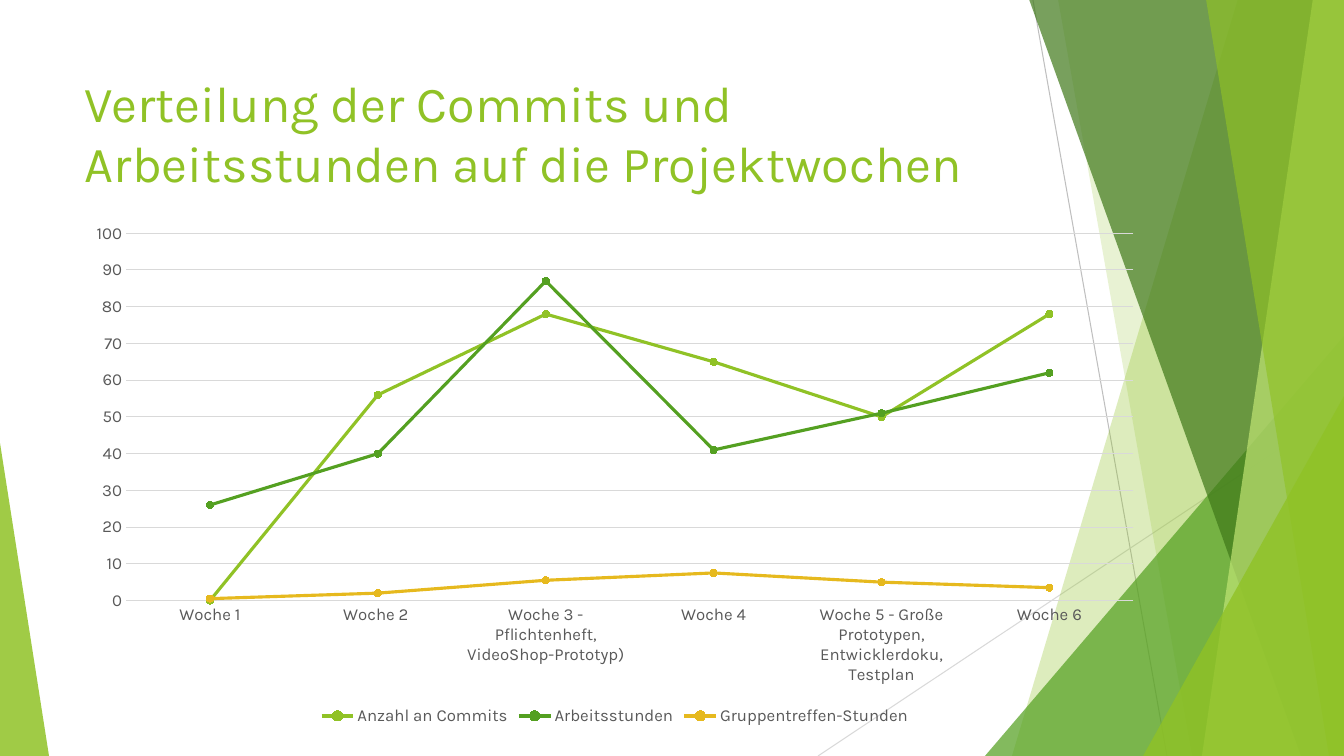
from dataclasses import dataclass

from lxml import etree
from pptx import Presentation
from pptx import util as u
from pptx.chart.data import CategoryChartData
from pptx.dml.color import RGBColor
from pptx.enum import chart as ch, shapes, text
from pptx.oxml.ns import qn

EMU_PER_PX = 914400 / 100.8
WIDTH, HEIGHT = 1344, 756


@dataclass(frozen=True)
class Theme:
    font: str = "Karla"
    lime: str = "90C226"
    green: str = "54A021"
    dark: str = "3F7819"
    pale: str = "C0E474"
    gold: str = "E6B91E"
    label: str = "595959"
    grid: str = "D9D9D9"
    edge: str = "BFBFBF"
    title_size: int = 36
    label_size: int = 12
    hairline: float = 0.75
    series_line: float = 2.25
    marker: int = 5


THEME = Theme()

WEEKS = [
    "Woche 1",
    "Woche 2 ",
    "Woche 3 - Pflichtenheft, VideoShop-Prototyp)",
    "Woche 4",
    "Woche 5 - Große Prototypen, Entwicklerdoku, Testplan",
    "Woche 6",
]
SERIES = [
    ("Anzahl an Commits", (0, 56, 78, 65, 50, 78), THEME.lime),
    ("Arbeitsstunden", (26, 40, 87, 41, 51, 62), THEME.green),
    ("Gruppentreffen-Stunden", (0.5, 2, 5.5, 7.5, 5, 3.5), THEME.gold),
]


def px(n):
    return u.Emu(round(n * EMU_PER_PX))


def rgb(color):
    return RGBColor.from_string(color)


def set_font(font, size, color):
    font.name = THEME.font
    font.size = u.Pt(size)
    font.color.rgb = rgb(color)


def set_line(line, color, width):
    line.color.rgb = rgb(color)
    line.width = u.Pt(width)


def set_fill(sp, color, opacity):
    sp.shadow.inherit = False
    sp.line.fill.background()
    sp.fill.solid()
    sp.fill.fore_color.rgb = rgb(color)
    clr = sp.fill._xPr.find(qn("a:solidFill"))[0]
    etree.SubElement(clr, qn("a:alpha")).set("val", str(opacity * 1000))


def add_hairline(s, start, end, color):
    line = s.shapes.add_connector(
        shapes.MSO_CONNECTOR.STRAIGHT, *map(px, start + end))
    set_line(line.line, color, THEME.hairline)
    etree.SubElement(line._element.spPr, qn("a:effectLst"))


def add_band(s, top_x, bottom_x, color, opacity):
    builder = s.shapes.build_freeform(px(top_x), px(-1))
    corners = [(WIDTH, -1), (WIDTH, HEIGHT), (bottom_x, HEIGHT)]
    builder.add_line_segments([(px(x), px(y)) for x, y in corners])
    set_fill(builder.convert_to_shape(), color, opacity)


def add_wedge(s, left, top, width, apex, color, opacity):
    sp = s.shapes.add_shape(
        shapes.MSO_SHAPE.ISOSCELES_TRIANGLE,
        px(left), px(top), px(width), px(HEIGHT - top))
    sp.adjustments[0] = apex
    set_fill(sp, color, opacity)


def add_backdrop(s):
    add_hairline(s, (1033, 0), (1167, HEIGHT), THEME.edge)
    add_hairline(s, (WIDTH, 406), (818, HEIGHT), THEME.grid)
    add_band(s, 1238, 1012, THEME.lime, 30)
    add_band(s, 1058, 1192, THEME.lime, 20)
    add_wedge(s, 985, 336, 359, 1, THEME.green, 72)
    add_band(s, 1029, 1301, THEME.dark, 70)
    add_band(s, 1313, 1202, THEME.pale, 70)
    add_band(s, 1206, 1329, THEME.lime, 65)
    add_wedge(s, 1143, 396, 201, 1, THEME.lime, 80)
    add_wedge(s, 0, 443, 49, 0, THEME.lime, 85)


def add_title(s, wording):
    tf = s.shapes.add_textbox(px(75), px(67), px(947), px(145)).text_frame
    tf.word_wrap = True
    tf.vertical_anchor = text.MSO_ANCHOR.TOP
    p = tf.paragraphs[0]
    p.text = wording
    set_font(p.font, THEME.title_size, THEME.lime)


def style_axis(axis):
    axis.major_tick_mark = ch.XL_TICK_MARK.NONE
    axis.minor_tick_mark = ch.XL_TICK_MARK.NONE
    set_font(axis.tick_labels.font, THEME.label_size, THEME.label)


def style_series(series, color):
    series.smooth = False
    set_line(series.format.line, color, THEME.series_line)
    marker = series.marker
    marker.style = ch.XL_MARKER_STYLE.CIRCLE
    marker.size = THEME.marker
    marker.format.fill.solid()
    marker.format.fill.fore_color.rgb = rgb(color)
    set_line(marker.format.line, color, THEME.hairline)


def add_week_chart(s):
    data = CategoryChartData()
    data.categories = WEEKS
    for name, values, _ in SERIES:
        data.add_series(name, values)
    chart = s.shapes.add_chart(
        ch.XL_CHART_TYPE.LINE_MARKERS,
        px(75), px(213), px(1080), px(517), data).chart
    set_font(chart.font, THEME.label_size, THEME.label)
    chart.has_title = False
    chart.has_legend = True
    chart.legend.position = ch.XL_LEGEND_POSITION.BOTTOM
    chart.legend.include_in_layout = False
    set_font(chart.legend.font, THEME.label_size, THEME.label)

    weeks, amount = chart.category_axis, chart.value_axis
    style_axis(weeks)
    style_axis(amount)
    set_line(weeks.format.line, THEME.grid, THEME.hairline)
    amount.format.line.fill.background()
    amount.minimum_scale, amount.maximum_scale = 0, 100
    amount.major_unit = 10
    amount.has_major_gridlines = True
    set_line(amount.major_gridlines.format.line, THEME.grid, THEME.hairline)

    plot = chart.plots[0]
    plot.vary_by_categories = False
    for series, (_, _, color) in zip(plot.series, SERIES):
        style_series(series, color)


def main():
    prs = Presentation()
    prs.slide_width, prs.slide_height = px(WIDTH), px(HEIGHT)
    s = prs.slides.add_slide(prs.slide_layouts[6])
    add_backdrop(s)
    add_title(s, "Verteilung der Commits und Arbeitsstunden auf die Projektwochen")
    add_week_chart(s)
    prs.save("out.pptx")


main()
